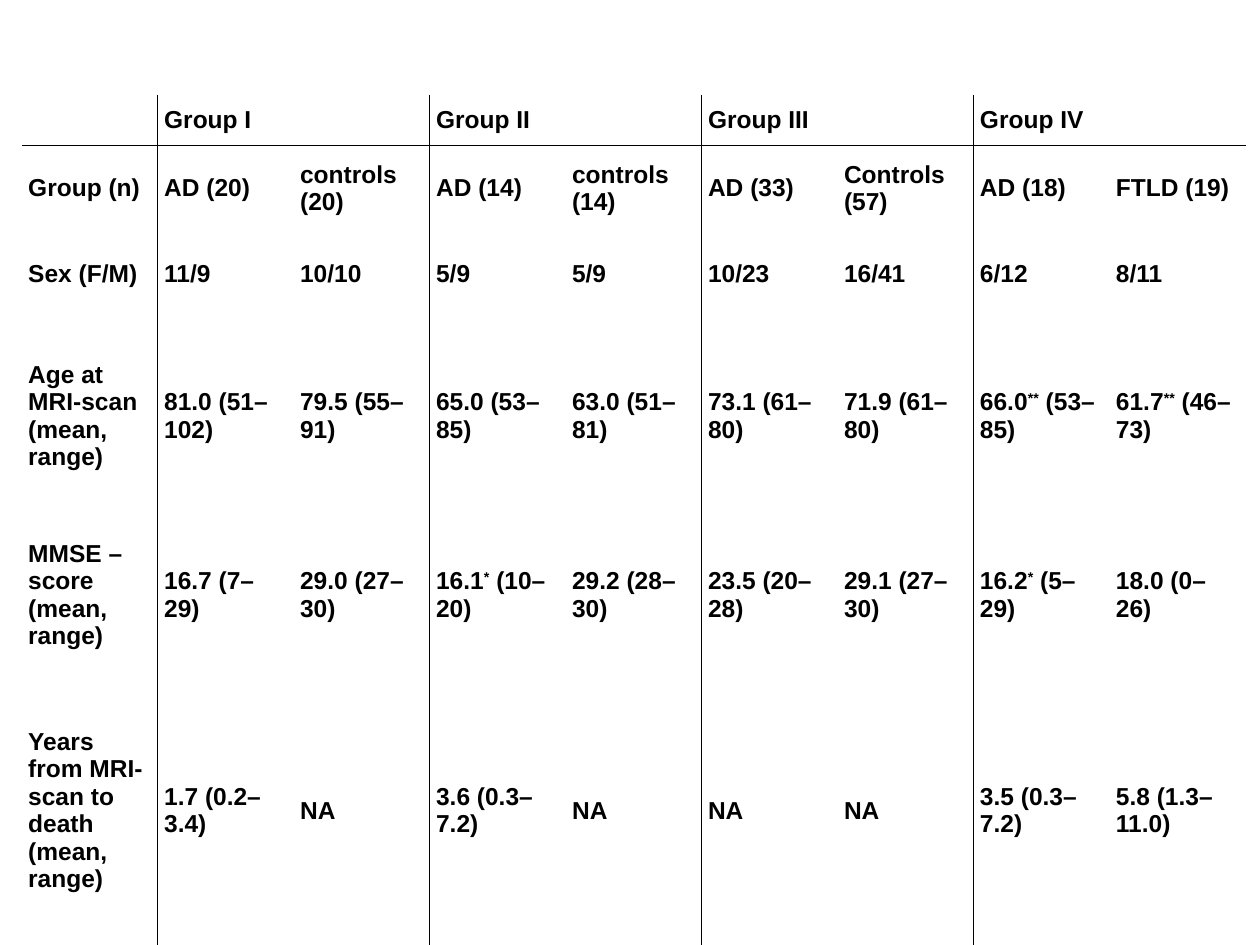
"""Build a slide with a table of patient groups."""
from dataclasses import dataclass

from lxml.etree import SubElement
from pptx import Presentation
from pptx.dml.color import RGBColor
from pptx.enum.text import MSO_ANCHOR
from pptx.oxml.ns import qn
from pptx.util import Pt


@dataclass(frozen=True)
class Theme:
    ink: str = "000000"
    face: str = "Arial"
    size: float = 14
    rule: float = 0.45
    inset: float = 3.6


ROWS = [
    (28, ["", "Group I", "", "Group II", "", "Group III", "", "Group IV", ""]),
    (49, ["Group (n)", "AD (20)", "controls (20)", "AD (14)", "controls (14)",
          "AD (33)", "Controls (57)", "AD (18)", "FTLD (19)"]),
    (49, ["Sex (F/M)", "11/9", "10/10", "5/9", "5/9", "10/23", "16/41", "6/12", "8/11"]),
    (113, ["Age at MRI-scan (mean, range)", "81.0 (51–102)", "79.5 (55–91)",
           "65.0 (53–85)", "63.0 (51–81)", "73.1 (61–80)", "71.9 (61–80)",
           "66.0^**^ (53–85)", "61.7^**^ (46–73)"]),
    (91.5, ["MMSE –score (mean, range)", "16.7 (7–29)", "29.0 (27–30)",
            "16.1^*^ (10–20)", "29.2 (28–30)", "23.5 (20–28)", "29.1 (27–30)",
            "16.2^*^ (5–29)", "18.0 (0–26)"]),
    (155, ["Years from MRI-scan to death (mean, range)", "1.7 (0.2–3.4)", "NA",
           "3.6 (0.3–7.2)", "NA", "NA", "NA", "3.5 (0.3–7.2)", "5.8 (1.3–11.0)"]),
]


class Deck:
    def __init__(self, theme):
        self.theme = theme
        self.show = Presentation()
        self.show.slide_width, self.show.slide_height = Pt(720), Pt(540)
        self.slide = self.show.slides.add_slide(self.show.slide_layouts[6])

    def apply(self, item, form):
        for name, value in form.items():
            setattr(item, name, value)

    def label(self, cell, text):
        theme = self.theme
        form = {"name": theme.face, "size": Pt(theme.size), "bold": True}
        para = cell.text_frame.paragraphs[0]
        for spot, part in enumerate(text.split("^") if text else []):
            run = para.add_run()
            run.text = part
            self.apply(run.font, form)
            run.font.color.rgb = RGBColor.from_string(theme.ink)
            if spot % 2:
                run._r.get_or_add_rPr().set("baseline", "30000")

    def border(self, cell, sides):
        props = cell._tc.get_or_add_tcPr()
        for side in "LRTB":
            line = SubElement(props, qn(f"a:ln{side}"), w=str(Pt(self.theme.rule)))
            if side in sides:
                fill = SubElement(line, qn("a:solidFill"))
                SubElement(fill, qn("a:srgbClr"), val=self.theme.ink)
            else:
                SubElement(line, qn("a:noFill"))

    def table(self, left, top, width, rows):
        count = len(rows[0][1])
        high = sum(height for height, _ in rows)
        grid = self.slide.shapes.add_table(
            len(rows), count, Pt(left), Pt(top), Pt(width * count), Pt(high)).table
        self.apply(grid, {"first_row": False, "horz_banding": False})
        for col in grid.columns:
            col.width = Pt(width)
        pad = Pt(self.theme.inset)
        form = {"margin_left": pad, "margin_right": pad, "margin_top": pad,
                "margin_bottom": pad, "vertical_anchor": MSO_ANCHOR.MIDDLE}
        for row, (height, texts) in enumerate(rows):
            grid.rows[row].height = Pt(height)
            for col, text in enumerate(texts):
                cell = grid.cell(row, col)
                self.apply(cell, form)
                self.label(cell, text)
                rules = {"L": col % 2 == 1,
                         "R": col < count - 2 and (row == 0 or col % 2 == 0),
                         "T": row == 1, "B": row == 0}
                self.border(cell, [side for side, shown in rules.items() if shown])
                cell.fill.background()
        for col in range(1, count, 2):
            grid.cell(0, col).merge(grid.cell(0, col + 1))

    def save(self):
        self.show.save("out.pptx")


def main():
    deck = Deck(Theme())
    deck.table(12.5, 54, 77.7, ROWS)
    deck.save()


if __name__ == "__main__":
    main()
